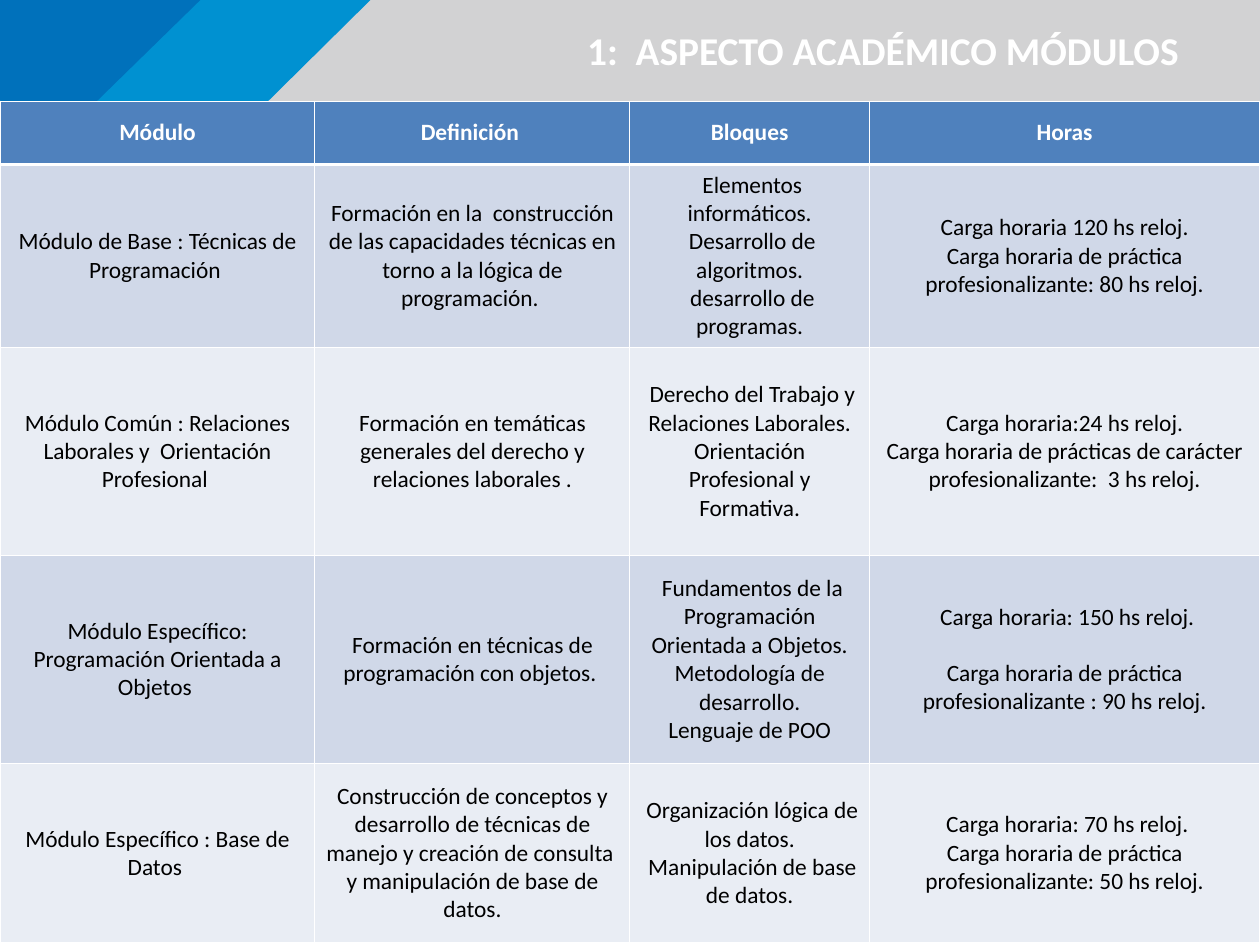
from dataclasses import dataclass

from lxml.etree import SubElement
from pptx import Presentation
from pptx.dml.color import RGBColor
from pptx.enum.text import MSO_ANCHOR as Anchor, PP_ALIGN as Align
from pptx.oxml.ns import qn
from pptx.slide import Slide
from pptx.table import _Cell as Cell
from pptx.text.text import _Paragraph as Paragraph
from pptx.util import Inches, Pt

WIDTH, HEIGHT = Inches(14.22), Inches(10.67)
WHITE = RGBColor(0xFF, 0xFF, 0xFF)
BLACK = RGBColor(0x00, 0x00, 0x00)
GRAY = RGBColor(0xD2, 0xD2, 0xD3)
LIGHT_BLUE = RGBColor(0x00, 0x91, 0xD1)
DARK_BLUE = RGBColor(0x00, 0x71, 0xBB)
HEADER_BLUE = RGBColor(0x4F, 0x81, 0xBD)
BAND_COLORS = (RGBColor(0xD0, 0xD8, 0xE8), RGBColor(0xE9, 0xED, 0xF4))

BANNER_HEIGHT = 0.116
TABLE_TOP = 0.107
COLUMN_SHARES = (0.25, 0.25, 0.19, 0.31)
ROW_SHARES = (0.067, 0.194, 0.22, 0.22, 0.19)

TITLE_FONT = {"name": "Calibri", "size": Pt(32), "bold": True}
HEADER_FONT = {"name": "Calibri", "size": Pt(19), "bold": True}
BODY_FONT = {"name": "Calibri", "size": Pt(19), "bold": False}
THIN, THICK = Pt(1), Pt(3)


@dataclass(frozen=True)
class Band:
    """A banner band, with its right ends as shares of the slide width."""
    top_right: float
    bottom_right: float
    color: RGBColor


@dataclass(frozen=True)
class Module:
    """One module, a table row; each tuple holds paragraphs."""
    name: str
    definition: str
    blocks: tuple[str, ...]
    hours: tuple[str, ...]
    hours_gap: int = 0


BANDS = (
    Band(1, 1, GRAY),
    Band(0.294, 0.206, LIGHT_BLUE),
    Band(0.159, 0.07, DARK_BLUE),
)
HEADINGS = ("Módulo", "Definición ", "Bloques", "Horas")
MODULES = (
    Module(
        "Módulo de Base : Técnicas de Programación ",
        "Formación en la  construcción de las capacidades técnicas en torno "
        "a la lógica de programación. ",
        (" Elementos informáticos.", " Desarrollo de algoritmos.",
         " desarrollo de programas."),
        ("Carga horaria 120 hs reloj.",
         "Carga horaria de práctica profesionalizante: 80 hs reloj."),
    ),
    Module(
        "Módulo Común : Relaciones Laborales y  Orientación Profesional ",
        "Formación en temáticas generales del derecho y relaciones laborales .",
        (" Derecho del Trabajo y Relaciones Laborales.",
         "Orientación Profesional y Formativa."),
        ("Carga horaria:24 hs reloj.",
         "Carga horaria de prácticas de carácter profesionalizante:  3 hs reloj."),
    ),
    Module(
        "Módulo Específico: Programación Orientada a Objetos ",
        "Formación en técnicas de programación con objetos. ",
        (" Fundamentos de la Programación Orientada a Objetos.",
         "Metodología de desarrollo.", "Lenguaje de POO"),
        (" Carga horaria: 150 hs reloj.",
         "Carga horaria de práctica profesionalizante : 90 hs reloj."),
        hours_gap=23,
    ),
    Module(
        "Módulo Específico : Base de Datos ",
        "Construcción de conceptos y desarrollo de técnicas de manejo y "
        "creación de consulta  y manipulación de base de datos.",
        (" Organización lógica de los datos.", " Manipulación de base de datos."),
        (" Carga horaria: 70 hs reloj.",
         "Carga horaria de práctica profesionalizante: 50 hs reloj."),
    ),
)


def write(paragraph: Paragraph, text: str, font: dict, color: RGBColor) -> None:
    """Add one formatted run to a paragraph."""
    run = paragraph.add_run()
    run.text = text
    for name, value in font.items():
        setattr(run.font, name, value)
    run.font.color.rgb = color


def draw_band(slide: Slide, band: Band) -> None:
    """Draw a banner band from the left edge of the slide."""
    bottom = int(HEIGHT * BANNER_HEIGHT)
    builder = slide.shapes.build_freeform(0, 0)
    builder.add_line_segments([
        (int(WIDTH * band.top_right), 0),
        (int(WIDTH * band.bottom_right), bottom),
        (0, bottom),
    ])
    shape = builder.convert_to_shape()
    shape.shadow.inherit = False
    shape.fill.solid()
    shape.fill.fore_color.rgb = band.color
    shape.line.fill.background()


def draw_title(slide: Slide, text: str) -> None:
    """Place the title over the banner."""
    box = slide.shapes.add_textbox(
        int(WIDTH * 0.459), int(HEIGHT * 0.0234), int(WIDTH * 0.515), int(HEIGHT * 0.06))
    box.text_frame.word_wrap = True
    write(box.text_frame.paragraphs[0], text, TITLE_FONT, WHITE)


def set_borders(cell: Cell, top: int, bottom: int) -> None:
    """Give a cell white borders on its four sides."""
    properties = cell._tc.get_or_add_tcPr()
    for side, width in {"L": THIN, "R": THIN, "T": top, "B": bottom}.items():
        line = SubElement(properties, qn(f"a:ln{side}"), w=str(int(width)))
        fill = SubElement(line, qn("a:solidFill"))
        SubElement(fill, qn("a:srgbClr"), val=str(WHITE))


def fill_cell(cell: Cell, lines: tuple[str, ...], font: dict, color: RGBColor,
              background: RGBColor, gap: int = 0) -> None:
    """Write centred paragraphs in a coloured cell, with a gap between them."""
    cell.fill.solid()
    cell.fill.fore_color.rgb = background
    cell.vertical_anchor = Anchor.MIDDLE
    frame = cell.text_frame
    for index, line in enumerate(lines):
        paragraph = frame.add_paragraph() if index else frame.paragraphs[0]
        paragraph.alignment = Align.CENTER
        if index and gap:
            paragraph.space_before = Pt(gap)
        write(paragraph, line, font, color)


def draw_table(slide: Slide) -> None:
    """Draw the module table below the banner."""
    table = slide.shapes.add_table(
        len(ROW_SHARES), len(COLUMN_SHARES), 0, int(HEIGHT * TABLE_TOP),
        WIDTH, int(HEIGHT * sum(ROW_SHARES))).table
    table.horz_banding = False
    for column, share in zip(table.columns, COLUMN_SHARES):
        column.width = int(WIDTH * share)
    for index, (row, share) in enumerate(zip(table.rows, ROW_SHARES)):
        row.height = int(HEIGHT * share)
        for cell in row.cells:
            set_borders(cell, THICK if index == 1 else THIN, THIN if index else THICK)
    for column, heading in enumerate(HEADINGS):
        fill_cell(table.cell(0, column), (heading,), HEADER_FONT, WHITE, HEADER_BLUE)
    for index, module in enumerate(MODULES):
        background = BAND_COLORS[index % len(BAND_COLORS)]
        texts = ((module.name,), (module.definition,), module.blocks, module.hours)
        for column, lines in enumerate(texts):
            fill_cell(table.cell(index + 1, column), lines, BODY_FONT, BLACK,
                      background, module.hours_gap if lines is module.hours else 0)


def main() -> None:
    """Build the slide and save the presentation."""
    presentation = Presentation()
    presentation.slide_width, presentation.slide_height = WIDTH, HEIGHT
    slide = presentation.slides.add_slide(presentation.slide_layouts[6])
    for band in BANDS:
        draw_band(slide, band)
    draw_table(slide)
    draw_title(slide, "1:  ASPECTO ACADÉMICO MÓDULOS")
    presentation.save("out.pptx")


main()
